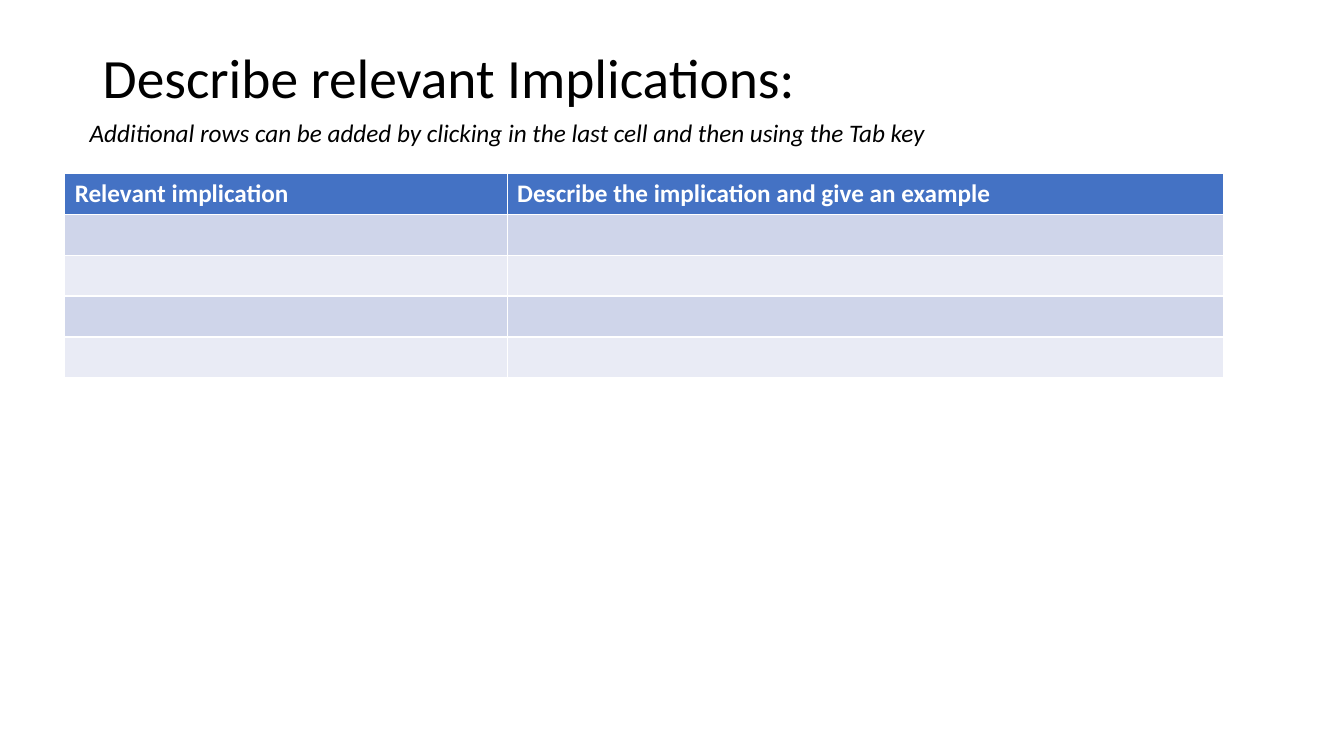
from dataclasses import dataclass

from pptx import Presentation
from pptx.dml.color import RGBColor
from pptx.enum.text import MSO_ANCHOR as Anchor
from pptx.util import Cm, Pt

FACE = "Calibri"
BLACK, WHITE, BLUE = "000000", "FFFFFF", "4472C4"
BANDS = ("CFD5EA", "E9EBF5")
HEADS = ("Relevant implication", "Describe the implication and give an example")
WIDTHS = (11.15, 18.06)
ROWS, HIGH = 5, 1.03


@dataclass
class Label:
    text: str
    left: float
    top: float
    width: float
    height: float
    size: float
    italic: bool = False
    space: float = 1.0
    anchor: Anchor = Anchor.TOP


LABELS = (
    Label("Describe relevant Implications:", 2.34, 1.02, 29.21, 1.55, 39.6,
          space=1.15, anchor=Anchor.MIDDLE),
    Label("Additional rows can be added by clicking in the last cell "
          "and then using the Tab key", 2.01, 2.84, 27.79, 1.02, 18, italic=True),
)


def paint(target, color: str) -> None:
    """Give a font or a solid fill its colour."""
    value = RGBColor.from_string(color)
    if hasattr(target, "solid"):
        target.solid()
        target.fore_color.rgb = value
    else:
        target.color.rgb = value


def style(para, size: float, color: str, bold: bool = False,
          italic: bool = False) -> None:
    font = para.font
    font.name, font.size = FACE, Pt(size)
    font.bold, font.italic = bold, italic
    paint(font, color)


def write(slide, label: Label) -> None:
    box = slide.shapes.add_textbox(Cm(label.left), Cm(label.top),
                                   Cm(label.width), Cm(label.height))
    frame = box.text_frame
    frame.word_wrap = True
    frame.vertical_anchor = label.anchor
    para = frame.paragraphs[0]
    para.text = label.text
    para.line_spacing = label.space
    style(para, label.size, BLACK, italic=label.italic)


def build(slide) -> None:
    """Add the table; its default style draws the white rules."""
    table = slide.shapes.add_table(ROWS, len(WIDTHS), Cm(1.63), Cm(4.37),
                                   Cm(sum(WIDTHS)), Cm(ROWS * HIGH)).table
    for col, width in zip(table.columns, WIDTHS):
        col.width = Cm(width)
    for i, row in enumerate(table.rows):
        row.height = Cm(HIGH)
        for cell in row.cells:
            paint(cell.fill, BANDS[(i - 1) % 2] if i else BLUE)
    for cell, head in zip(table.rows[0].cells, HEADS):
        cell.text = head
        style(cell.text_frame.paragraphs[0], 18, WHITE, bold=True)


# Slide
deck = Presentation()
deck.slide_width, deck.slide_height = Cm(33.87), Cm(19.05)
page = deck.slides.add_slide(deck.slide_layouts[6])

# Title and hint
for label in LABELS:
    write(page, label)

# Implications table
build(page)

deck.save("out.pptx")
